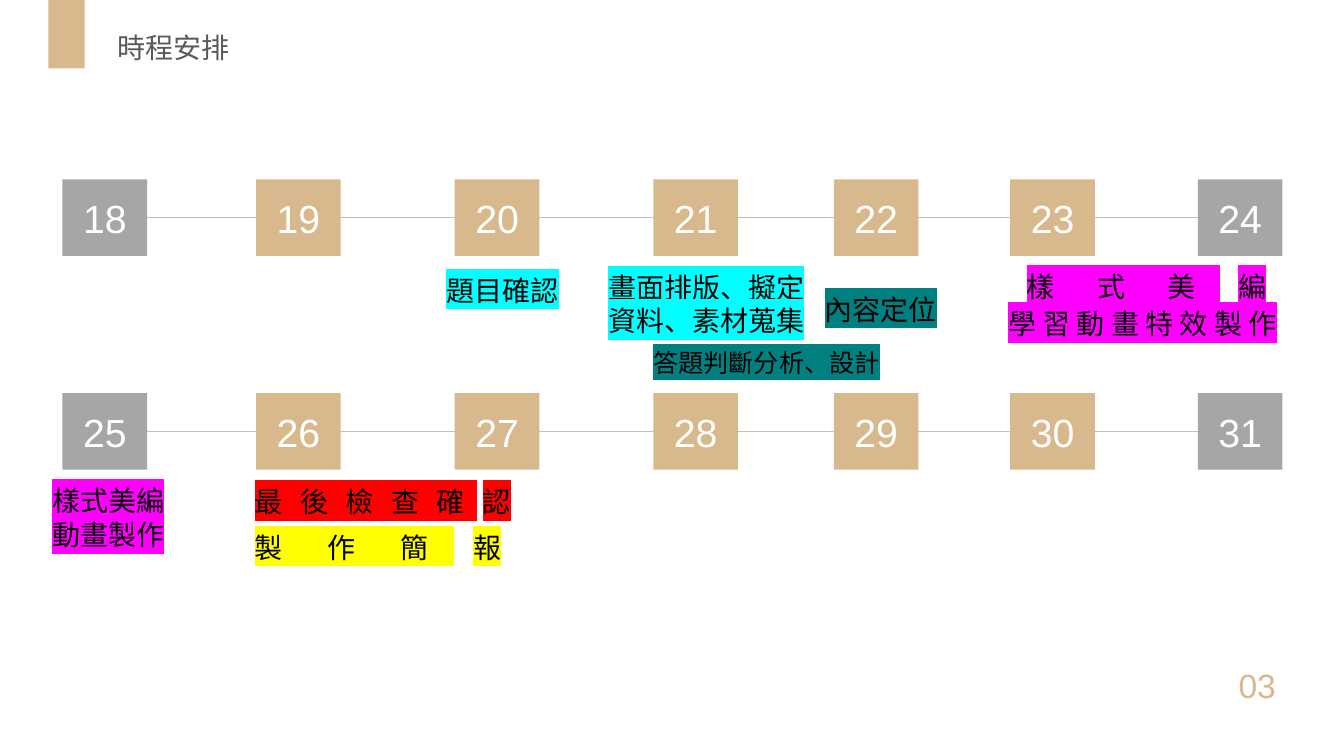
"""Build a two-row schedule slide with dated boxes and highlighted tasks."""
from dataclasses import dataclass

import lxml.etree
import pptx
import pptx.dml.color
import pptx.enum.shapes
import pptx.enum.text
import pptx.oxml.ns
import pptx.util

Inches = pptx.util.Inches
Align = pptx.enum.text.PP_ALIGN
qn = pptx.oxml.ns.qn


@dataclass(frozen=True)
class Theme:
    font: str = "Arial"
    tan: str = "D8B98D"
    gray: str = "A6A6A6"
    rule: str = "BFBFBF"
    title: str = "595959"
    white: str = "FFFFFF"
    black: str = "000000"
    cyan: str = "00FFFF"
    teal: str = "008080"
    pink: str = "FF00FF"
    red: str = "FF0000"
    yellow: str = "FFFF00"
    small: int = 18
    body: int = 20
    page: int = 24
    date: int = 28


THEME = Theme()


@dataclass(frozen=True)
class Label:
    left: float
    top: float
    width: float
    height: float
    lines: tuple[str, ...]
    mark: str = ""
    size: int = THEME.body
    color: str = THEME.black
    align: Align = Align.LEFT
    wrap: bool = True
    gap: float = 0


@dataclass(frozen=True)
class Week:
    first: int
    top: float


COLS = (0.62, 2.54, 4.51, 6.48, 8.27, 10.02, 11.88)
BOX_W, BOX_H = 0.84, 0.76
WEEKS = (Week(18, 1.78), Week(25, 3.9))
LABELS = (
    Label(1.07, 0.25, 2.23, 0.44, ("時程安排",), color=THEME.title, align=Align.JUSTIFY),
    Label(12.1, 6.55, 0.74, 0.5, ("03",), size=THEME.page, color=THEME.tan, align=Align.CENTER),
    Label(4.33, 2.66, 1.32, 0.44, ("題目確認",), THEME.cyan, wrap=False),
    Label(5.91, 2.63, 2.19, 0.77, ("畫面排版、擬定", "資料、素材蒐集"), THEME.cyan,
          align=Align.CENTER, wrap=False),
    Label(8.08, 2.85, 1.32, 0.44, ("內容定位",), THEME.teal, wrap=False),
    Label(9.9, 2.99, 2.96, 0.44, ("學 習 動 畫 特 效 製 作",), THEME.pink),
    Label(2.43, 4.76, 3.18, 0.44, ("最 後 檢 查 確 認",), THEME.red, gap=4),
    Label(2.43, 5.21, 3.11, 0.44, ("製 作 簡 報",), THEME.yellow, gap=13.7),
    Label(9.79, 2.62, 3.16, 0.44, ("樣 式 美 編",), THEME.pink, align=Align.CENTER, gap=12.9),
    Label(-0.38, 4.75, 2.91, 0.77, ("樣式美編", "動畫製作"), THEME.pink, align=Align.CENTER),
    Label(6.38, 3.4, 6.46, 0.4, ("答題判斷分析、設計",), THEME.small and THEME.teal,
          size=THEME.small, align=Align.JUSTIFY),
)


def rgb(code: str) -> pptx.dml.color.RGBColor:
    """Turn a hex code into a colour."""
    return pptx.dml.color.RGBColor.from_string(code)


def add_run(para, text: str, size: int, color: str, mark: str = "", gap: float = 0) -> None:
    """Add one styled run, with optional highlight and letter spacing."""
    run = para.add_run()
    run.text = text
    run.font.name = THEME.font
    run.font.size = pptx.util.Pt(size)
    run.font.color.rgb = rgb(color)
    props = run._r.get_or_add_rPr()
    if gap:
        props.set("spc", str(round(gap * 100)))
    if mark:
        light = lxml.etree.Element(qn("a:highlight"))
        lxml.etree.SubElement(light, qn("a:srgbClr"), val=mark)
        props.find(qn("a:solidFill")).addnext(light)


def add_box(slide, left: float, top: float, width: float, height: float, color: str):
    """Add a plain filled rectangle."""
    box = slide.shapes.add_shape(
        pptx.enum.shapes.MSO_SHAPE.RECTANGLE,
        Inches(left), Inches(top), Inches(width), Inches(height))
    box.shadow.inherit = False
    box.fill.solid()
    box.fill.fore_color.rgb = rgb(color)
    box.line.fill.background()
    return box


def add_label(slide, label: Label) -> None:
    """Add a text box with one paragraph per line."""
    box = slide.shapes.add_textbox(
        Inches(label.left), Inches(label.top), Inches(label.width), Inches(label.height))
    frame = box.text_frame
    frame.word_wrap = label.wrap
    frame.auto_size = pptx.enum.text.MSO_AUTO_SIZE.SHAPE_TO_FIT_TEXT
    for num, line in enumerate(label.lines):
        para = frame.add_paragraph() if num else frame.paragraphs[0]
        para.alignment = label.align
        parts = ((line[:-1], label.gap), (line[-1], 0)) if label.gap else ((line, 0),)
        for text, gap in parts:
            add_run(para, text, label.size, label.color, label.mark, gap)


def add_week(slide, week: Week) -> None:
    """Add a row of seven dates joined by a line behind them."""
    mid = Inches(week.top + BOX_H / 2)
    line = slide.shapes.add_connector(
        pptx.enum.shapes.MSO_CONNECTOR.STRAIGHT,
        Inches(COLS[0] + BOX_W), mid, Inches(COLS[-1]), mid)
    line.line.color.rgb = rgb(THEME.rule)
    line.line.width = pptx.util.Pt(0.5)
    lxml.etree.SubElement(line._element.spPr, qn("a:effectLst"))
    boxes = []
    for num, left in enumerate(COLS):
        color = THEME.gray if left in (COLS[0], COLS[-1]) else THEME.tan
        box = add_box(slide, left, week.top, BOX_W, BOX_H, color)
        frame = box.text_frame
        frame.word_wrap = False
        frame.vertical_anchor = pptx.enum.text.MSO_ANCHOR.MIDDLE
        para = frame.paragraphs[0]
        para.alignment = Align.CENTER
        add_run(para, str(week.first + num), THEME.date, THEME.white)
        boxes.append(box)
    line.begin_connect(boxes[0], 3)
    line.end_connect(boxes[-1], 1)


def main() -> None:
    """Build and save the slide."""
    deck = pptx.Presentation()
    deck.slide_width, deck.slide_height = Inches(13.33), Inches(7.5)
    slide = deck.slides.add_slide(deck.slide_layouts[6])
    add_box(slide, 0.48, 0, 0.36, 0.68, THEME.tan)
    for week in WEEKS:
        add_week(slide, week)
    for label in LABELS:
        add_label(slide, label)
    deck.save("out.pptx")


if __name__ == "__main__":
    main()
